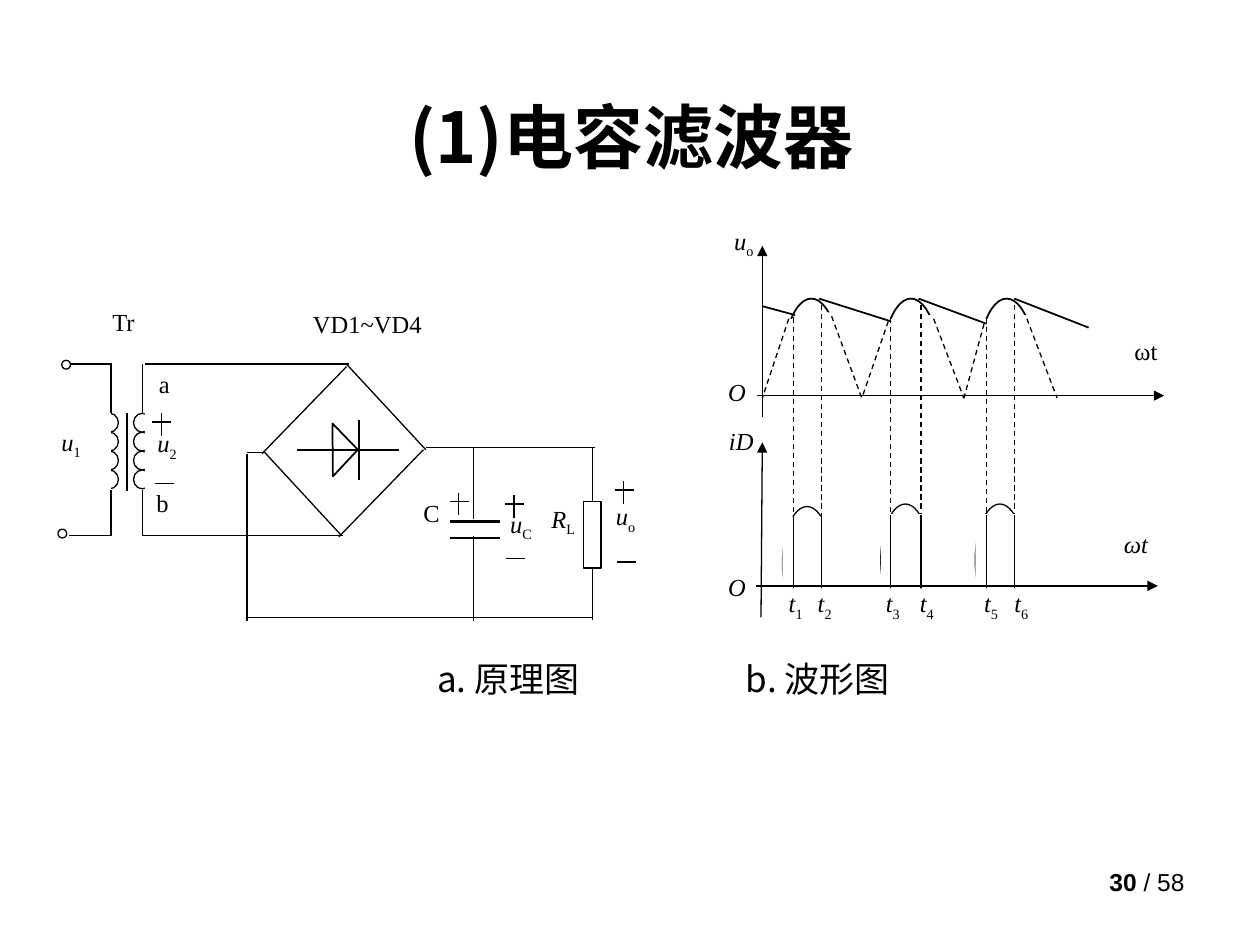
from lxml import etree
from pptx import Presentation
from pptx.dml.color import RGBColor
from pptx.enum import dml, shapes, text
from pptx.oxml import ns
from pptx.util import Inches, Pt

BLACK, WHITE = "000000", "FFFFFF"
SERIF, SANS, CJK = "Times New Roman", "Arial", "Noto Sans CJK SC"
LEFT, CENTER, RIGHT = text.PP_ALIGN.LEFT, text.PP_ALIGN.CENTER, text.PP_ALIGN.RIGHT
OVAL, RECTANGLE = shapes.MSO_SHAPE.OVAL, shapes.MSO_SHAPE.RECTANGLE


def rgb(value):
    return RGBColor.from_string(value)


def add_line(slide, x1, y1, x2, y2, width=0.75, dashed=False, arrow=False):
    line = slide.shapes.add_connector(
        shapes.MSO_CONNECTOR.STRAIGHT, Inches(x1), Inches(y1), Inches(x2), Inches(y2))
    line.line.color.rgb = rgb(BLACK)
    line.line.width = Pt(width)
    if dashed:
        line.line.dash_style = dml.MSO_LINE.DASH
    if arrow:
        etree.SubElement(line.line._get_or_add_ln(), ns.qn("a:tailEnd"), type="triangle")
    etree.SubElement(line._element.spPr, ns.qn("a:effectLst"))


def add_outline(slide, kind, x, y, w, h, width=0.75):
    outline = slide.shapes.add_shape(kind, Inches(x), Inches(y), Inches(w), Inches(h))
    outline.shadow.inherit = False
    outline.fill.solid()
    outline.fill.fore_color.rgb = rgb(WHITE)
    if width:
        outline.line.color.rgb = rgb(BLACK)
        outline.line.width = Pt(width)
    else:
        outline.line.fill.background()
    return outline


def add_cover(slide, x, y, w, h):
    add_outline(slide, RECTANGLE, x, y, w, h, 0)


def add_text(slide, x, y, w, h, size, font, align, inset=0):
    box = slide.shapes.add_textbox(Inches(x), Inches(y), Inches(w), Inches(h))
    frame = box.text_frame
    frame.word_wrap = True
    frame.margin_left = frame.margin_right = Inches(inset)
    frame.margin_top = frame.margin_bottom = Inches(inset / 2)
    paragraph = frame.paragraphs[0]
    paragraph.alignment = align

    def add_run(content, bold=False, italic=False, subscript=False):
        run = paragraph.add_run()
        run.text = content
        run.font.size = Pt(size)
        run.font.name = font
        run.font.bold = bold
        run.font.italic = italic
        run.font.color.rgb = rgb(BLACK)
        properties = run.font._element
        etree.SubElement(properties, ns.qn("a:ea"), typeface=font)
        if subscript:
            properties.set("baseline", "-25000")

    return box, add_run


def add_label(slide, x, y, w, h, symbol, subscript="", italic=True, align=CENTER, filled=False):
    box, add_run = add_text(slide, x, y, w, h, 14, SERIF, align)
    if filled:
        box.fill.solid()
        box.fill.fore_color.rgb = rgb(WHITE)
    add_run(symbol, italic=italic)
    if subscript:
        add_run(subscript, subscript=True)


def add_minus(slide, x, y):
    add_line(slide, x - 0.07, y, x + 0.08, y)


def add_plus(slide, x, y):
    add_minus(slide, x, y)
    add_line(slide, x, y - 0.07, x, y + 0.11)


def draw_voltage_wave(slide):
    add_line(slide, 6.05, 3.31, 6.05, 1.95, arrow=True)
    add_label(slide, 5.64, 1.79, 0.34, 0.45, "u", "o", align=RIGHT)
    for x, rise_width, fall_x, fall_y, fall_width in (
            (6.21, 0.44, 6.51, 2.48, 0.25), (7, 0.42, 7.23, 2.5, 0.32), (7.76, 0.42, 7.99, 2.5, 0.27)):
        add_outline(slide, OVAL, x, 2.37, 0.46, 1.13, 1)
        add_cover(slide, x - 0.04, 2.53, rise_width, 1.05)
        add_cover(slide, fall_x, fall_y, fall_width, 1.02)
    for discharge in ((6.05, 2.43, 6.31, 2.5), (6.5, 2.37, 7.07, 2.55),
                      (7.29, 2.37, 7.83, 2.57), (8.05, 2.37, 8.64, 2.6)):
        add_line(slide, *discharge, 1)
    for x1, y1, x2 in ((6.26, 2.53, 6.05), (6.6, 2.51, 6.84), (7.05, 2.55, 6.84),
                       (7.41, 2.53, 7.65), (7.81, 2.57, 7.65), (8.15, 2.53, 8.39)):
        add_line(slide, x1, y1, x2, 3.16, dashed=True)
    add_line(slide, 5.81, 3.14, 9.24, 3.14, arrow=True)
    add_label(slide, 8.89, 2.67, 0.41, 0.41, "ωt", italic=False)
    add_label(slide, 5.78, 2.99, 0.23, 0.36, "O", align=LEFT, filled=True)


def draw_current_wave(slide):
    pulses = ((6.3, 6.52, 6.21, 4.02), (7.07, 7.31, 6.99, 4), (7.83, 8.05, 7.74, 4))
    for start, end, _, _ in pulses:
        add_line(slide, start, 2.52, start, 4.5, dashed=True)
        add_line(slide, end, 2.42, end, 4.48, dashed=True)
    add_label(slide, 5.78, 4.54, 0.23, 0.34, "O", align=LEFT, filled=True)
    add_line(slide, 6.04, 4.9, 6.05, 3.51, arrow=True)
    add_label(slide, 8.92, 4.2, 0.41, 0.41, "ωt", align=LEFT)
    for start, end, x, y in pulses:
        add_outline(slide, OVAL, x, y, 0.39, 0.89)
        add_cover(slide, x, y + 0.08, 0.42, 0.91)
        for edge in (start, end):
            add_line(slide, edge, 4.09, edge, 4.68)
    add_line(slide, 6, 4.65, 9.19, 4.65, arrow=True)
    add_label(slide, 5.66, 3.38, 0.32, 0.41, "iD", align=RIGHT)
    for number, x in enumerate((6.22, 6.45, 6.99, 7.26, 7.77, 8.01), 1):
        add_label(slide, x, 4.67, 0.19, 0.39, "t", str(number), filled=True)


def draw_transformer(slide):
    for coil_x in (0.8, 1.06):
        for turn in range(4):
            add_outline(slide, OVAL, coil_x, 3.28 + 0.15 * turn, 0.14, 0.15)
    for cover_x in (0.75, 1.15):
        add_cover(slide, cover_x, 3.24, 0.13, 0.69)
    add_line(slide, 1.01, 3.28, 1.01, 3.9, 1)
    for x in (0.88, 1.13):
        add_line(slide, x, 2.89, x, 3.28)
        add_line(slide, x, 3.89, x, 4.25)
    add_line(slide, 0.56, 2.89, 0.89, 2.89)
    add_line(slide, 0.55, 4.25, 0.89, 4.25)
    for x, y in ((0.49, 2.86), (0.46, 4.2)):
        add_outline(slide, OVAL, x, y, 0.07, 0.07)
    add_label(slide, 0.85, 2.44, 0.26, 0.38, "Tr", italic=False)
    add_label(slide, 0.43, 3.39, 0.27, 0.36, "u", "1")
    add_label(slide, 1.17, 3.4, 0.31, 0.36, "u", "2", filled=True)
    add_label(slide, 1.19, 2.93, 0.23, 0.33, "a", italic=False)
    add_label(slide, 1.19, 3.87, 0.2, 0.38, "b", italic=False)
    add_plus(slide, 1.28, 3.35)
    add_minus(slide, 1.3, 3.84)


def draw_bridge(slide):
    add_label(slide, 2.36, 2.45, 1.11, 0.47, "VD1~VD4", italic=False)
    for wire in ((1.15, 2.89, 2.77, 2.89), (1.13, 4.25, 2.72, 4.25),
                 (2.75, 2.89, 3.38, 3.57), (2.75, 2.91, 2.08, 3.6),
                 (2.1, 3.59, 2.71, 4.25), (3.36, 3.57, 2.69, 4.26),
                 (1.96, 3.59, 2.1, 3.59), (1.96, 3.6, 1.96, 4.93)):
        add_line(slide, *wire)
    diode = add_outline(slide, shapes.MSO_SHAPE.ISOSCELES_TRIANGLE, 2.53, 3.47, 0.42, 0.2, 1)
    diode.rotation = 89.5
    add_line(slide, 2.85, 3.33, 2.85, 3.81, 1)
    add_line(slide, 2.36, 3.57, 3.17, 3.57, 1)


def draw_filter_and_load(slide):
    for wire in ((3.38, 3.55, 4.72, 3.55), (1.95, 4.9, 4.7, 4.9), (4.7, 3.55, 4.7, 4.92),
                 (3.76, 3.55, 3.76, 4.12), (3.76, 4.25, 3.76, 4.93)):
        add_line(slide, *wire)
    for plate_y in (4.14, 4.27):
        add_line(slide, 3.57, plate_y, 3.97, plate_y, 1.5)
    add_label(slide, 3.23, 3.95, 0.39, 0.38, "C", italic=False)
    add_label(slide, 4, 4.04, 0.27, 0.42, "u", "C", filled=True)
    add_label(slide, 4.31, 4, 0.32, 0.43, "R", "L", filled=True)
    add_label(slide, 4.83, 3.98, 0.27, 0.43, "u", "o", filled=True)
    add_outline(slide, RECTANGLE, 4.63, 3.98, 0.14, 0.53)
    for x, y in ((3.64, 3.98), (4.08, 4), (4.95, 3.89)):
        add_plus(slide, x, y)
    for x, y in ((4.09, 4.43), (4.97, 4.46)):
        add_minus(slide, x, y)


def draw_captions(slide):
    box, add_run = add_text(slide, 1.35, 5.22, 7.9, 0.43, 20, CJK, LEFT)
    box.text_frame.margin_left = Inches(2.12)
    properties = box.text_frame.paragraphs[0]._p.get_or_add_pPr()
    stops = etree.SubElement(properties, ns.qn("a:tabLst"))
    etree.SubElement(stops, ns.qn("a:tab"), pos=str(Inches(2.45)), algn="l")
    add_run("a. 原理图\tb. 波形图")


def main():
    deck = Presentation()
    deck.slide_width, deck.slide_height = Inches(10), Inches(7.5)
    slide = deck.slides.add_slide(deck.slide_layouts[6])

    add_run = add_text(slide, 7.17, 6.83, 2.33, 0.52, 14, SANS, RIGHT, 0.1)[1]
    add_run("30 ", bold=True)
    add_run("/ 58")

    title, add_run = add_text(slide, 0.51, 0.68, 9, 0.79, 40, CJK, CENTER, 0.1)
    title.text_frame.vertical_anchor = text.MSO_ANCHOR.MIDDLE
    add_run("(1)电容滤波器", bold=True)

    draw_voltage_wave(slide)
    draw_current_wave(slide)
    draw_transformer(slide)
    draw_bridge(slide)
    draw_filter_and_load(slide)
    draw_captions(slide)
    deck.save("out.pptx")


if __name__ == "__main__":
    main()
